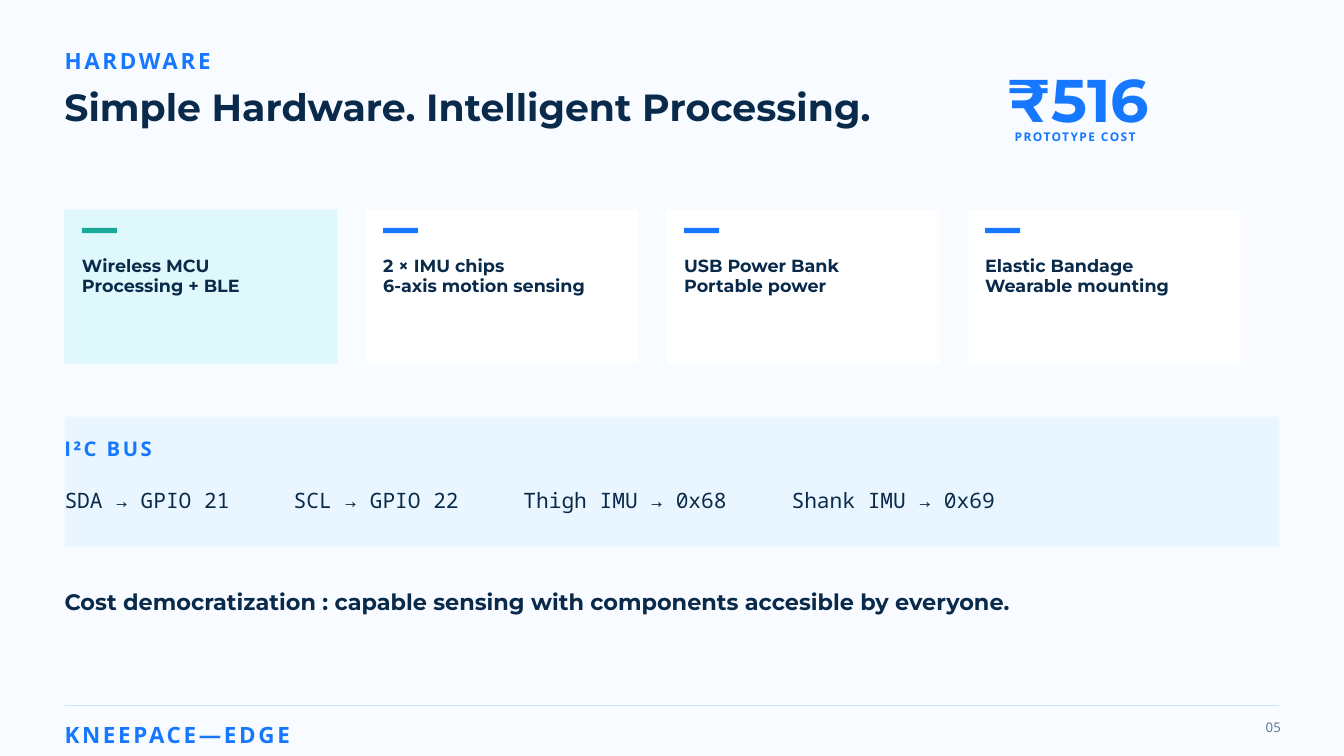
from lxml import etree
from pptx import Presentation
from pptx.dml.color import RGBColor
from pptx.enum.shapes import MSO_CONNECTOR as CONN, MSO_SHAPE as SHAPE
from pptx.enum.text import MSO_AUTO_SIZE as AUTO, PP_ALIGN as ALIGN
from pptx.oxml.ns import qn
from pptx.util import Inches, Pt

HEAD, BODY, MONO = "Montserrat", "Open Sans", "Noto Sans Mono"
BLUE, NAVY, TEAL, SLATE = "1677FF", "092A4A", "18A999", "55728C"
LEFT, RIGHT = 0.96, 19.04

CARDS = [
    (["Wireless MCU", "Processing + BLE"], "DFF8FB", TEAL),
    (["2 × IMU chips", "6-axis motion sensing"], "FFFFFF", BLUE),
    (["USB Power Bank", "Portable power"], "FFFFFF", BLUE),
    (["Elastic Bandage", "Wearable mounting"], "FFFFFF", BLUE),
]
CARD_TOP, CARD_W, CARD_H, CARD_GAP, CARD_PAD = 3.12, 4.06, 2.29, 0.42, 0.26
BUS = ["SDA → GPIO 21", "SCL → GPIO 22", "Thigh IMU → 0x68", "Shank IMU → 0x69"]
BUS_TABS = [3.41, 6.83, 10.82]
LABEL = dict(size=24, font=BODY, color=BLUE, bold=True, spacing=2.9, leading=33.6)


def rgb(value):
    """Turn a hex string into a colour."""
    return RGBColor.from_string(value)


def add_text(shapes, lines, x, y, w, h, size, leading, font=HEAD, color=NAVY,
             bold=False, spacing=0, align=ALIGN.LEFT, tabs=()):
    """Add a text box without margins, one paragraph per line."""
    tf = shapes.add_textbox(Inches(x), Inches(y), Inches(w), Inches(h)).text_frame
    tf.word_wrap, tf.auto_size = True, AUTO.SHAPE_TO_FIT_TEXT
    tf.margin_left = tf.margin_top = tf.margin_right = tf.margin_bottom = 0
    for i, line in enumerate(lines):
        p = tf.add_paragraph() if i else tf.paragraphs[0]
        p.alignment, p.line_spacing = align, Pt(leading)
        if tabs:
            tab_list = etree.SubElement(p._p.get_or_add_pPr(), qn("a:tabLst"))
            for tab in tabs:
                etree.SubElement(tab_list, qn("a:tab"), pos=str(Inches(tab)), algn="l")
        r = p.add_run()
        r.text = line
        r.font.size, r.font.name, r.font.bold = Pt(size), font, bold
        r.font.color.rgb = rgb(color)
        if spacing:
            r.font._element.set("spc", str(round(spacing * 100)))


def add_box(shapes, x, y, w, h, fill):
    """Add a plain filled rectangle."""
    sp = shapes.add_shape(SHAPE.RECTANGLE, Inches(x), Inches(y), Inches(w), Inches(h))
    sp.shadow.inherit = False
    sp.fill.solid()
    sp.fill.fore_color.rgb = rgb(fill)
    sp.line.fill.background()


def add_card(shapes, x, lines, fill, accent):
    """Add a component card with an accent bar and two lines of text."""
    inner = x + CARD_PAD
    add_box(shapes, x, CARD_TOP, CARD_W, CARD_H, fill)
    add_box(shapes, inner, CARD_TOP + 0.27, 0.52, 0.08, accent)
    add_text(shapes, lines, inner, CARD_TOP + 0.69, 3.65, 0.59,
             size=18.8, leading=21.6, bold=True)


def add_rule(shapes, y, color):
    """Add a thin rule across the content width."""
    rule = shapes.add_connector(CONN.STRAIGHT, Inches(LEFT), Inches(y), Inches(RIGHT), Inches(y))
    rule.line.color.rgb = rgb(color)
    rule.line.width = Pt(0.75)
    etree.SubElement(rule._element.spPr, qn("a:effectLst"))


def main():
    """Build and save the hardware slide."""
    prs = Presentation()
    prs.slide_width, prs.slide_height = Inches(20), Inches(11.25)
    s = prs.slides.add_slide(prs.slide_layouts[6])
    s.background.fill.solid()
    s.background.fill.fore_color.rgb = rgb("F8FBFF")

    add_text(s.shapes, ["HARDWARE"], LEFT, 0.64, 3.65, 0.43, **LABEL)
    add_text(s.shapes, ["Simple Hardware. Intelligent Processing."],
             LEFT, 1.31, 13.54, 0.61, size=40.5, leading=43.7, bold=True)
    add_text(s.shapes, ["₹516"], 15, 1.06, 3.44, 0.97,
             size=64.5, leading=67.7, color=BLUE, bold=True)
    add_text(s.shapes, ["PROTOTYPE COST"], 15.1, 1.9, 3.23, 0.24,
             **{**LABEL, "size": 12.8, "leading": 17.8, "spacing": 1.5})

    for i, card in enumerate(CARDS):
        add_card(s.shapes.add_group_shape().shapes, LEFT + i * (CARD_W + CARD_GAP), *card)

    bus = s.shapes.add_group_shape().shapes
    add_box(bus, LEFT, 6.2, RIGHT - LEFT, 1.94, "EAF6FF")
    add_text(bus, ["I²C BUS"], LEFT, 6.43, 2.6, 0.39,
             **{**LABEL, "size": 21.7, "leading": 30.4, "spacing": 2.6})
    add_text(bus, ["\t".join(BUS)], LEFT, 7.21, 17.08, 0.39,
             size=22.7, leading=30.7, font=MONO, tabs=BUS_TABS)

    add_text(s.shapes,
             ["Cost democratization : capable sensing with components accesible by everyone."],
             LEFT, 8.77, 15.62, 0.37, size=24, leading=27.6, bold=True)
    add_rule(s.shapes, 10.49, "CFE5F5")
    add_text(s.shapes, ["KNEEPACE—EDGE"], LEFT, 10.66, 3.39, 0.43, **LABEL)
    add_text(s.shapes, ["05"], 18.12, 10.68, 0.94, 0.25,
             size=14.2, leading=19.2, font=BODY, color=SLATE, align=ALIGN.RIGHT)
    prs.save("out.pptx")


if __name__ == "__main__":
    main()
